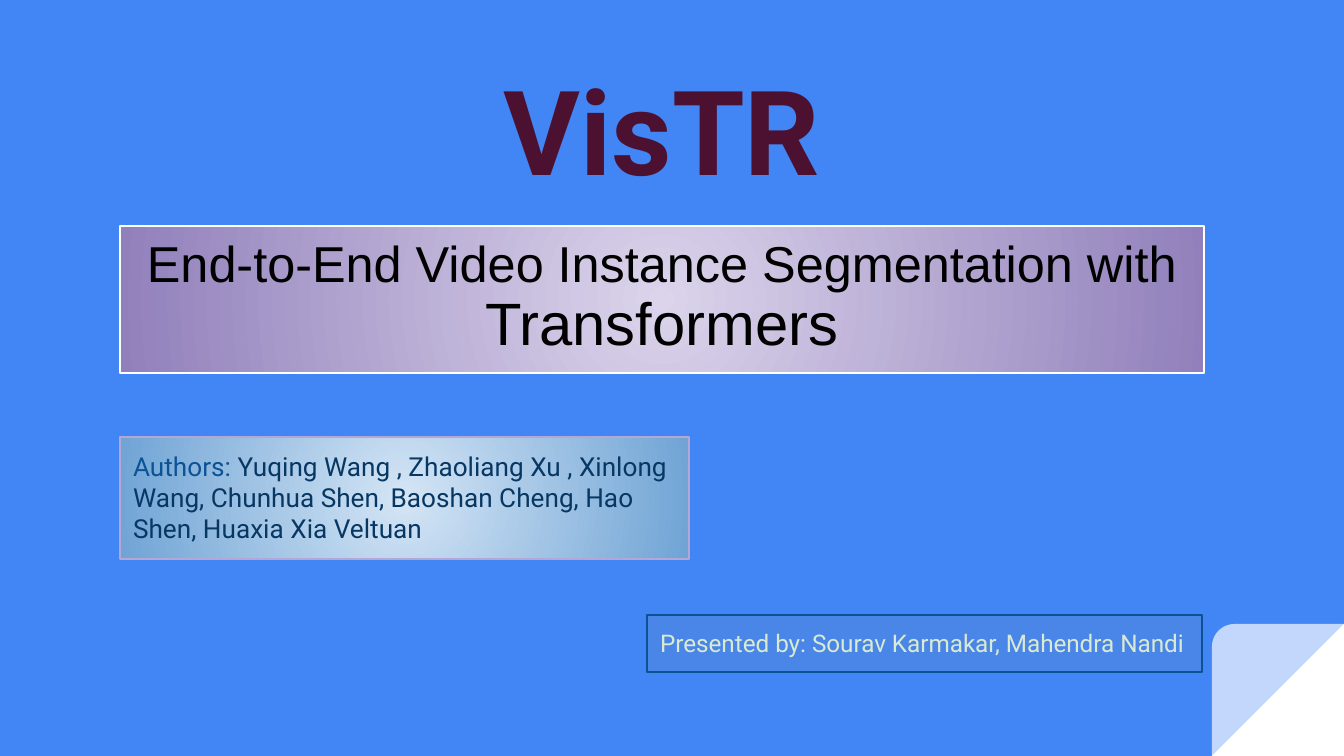
import lxml.etree
import pptx
import pptx.dml.color
import pptx.enum.shapes
import pptx.enum.text
import pptx.oxml.ns
import pptx.util

SCALE = 914400 / 134.4
qn = pptx.oxml.ns.qn
MSO_SHAPE = pptx.enum.shapes.MSO_SHAPE
PP_ALIGN = pptx.enum.text.PP_ALIGN
MSO_ANCHOR = pptx.enum.text.MSO_ANCHOR


def px(*lengths):
    return [pptx.util.Emu(round(length * SCALE)) for length in lengths]


def rgb(value):
    return pptx.dml.color.RGBColor.from_string(value)


presentation = pptx.Presentation()
presentation.slide_width, presentation.slide_height = px(1344, 756)
slide = presentation.slides.add_slide(presentation.slide_layouts[5])
slide.background.fill.solid()
slide.background.fill.fore_color.rgb = rgb("4285F4")

for preset in (MSO_SHAPE.RIGHT_TRIANGLE, MSO_SHAPE.ROUND_1_RECTANGLE):
    corner = slide.shapes.add_shape(preset, *px(1212, 624, 132, 132))
    corner.shadow.inherit = False
    corner.fill.solid()
    corner.fill.fore_color.rgb = rgb("FFFFFF")
    corner.line.fill.background()
    corner._element.spPr.find(qn("a:xfrm")).set("flipH", "1")
corner.adjustments[0] = 0.17
corner_color = corner._element.spPr.find(qn("a:solidFill")).find(qn("a:srgbClr"))
lxml.etree.SubElement(corner_color, qn("a:alpha")).set("val", "68000")

title = slide.shapes.title
title.left, title.top, title.width, title.height = px(58, 66, 1208, 146)

panels = [
    ((120, 226, 1084, 147), ("DBD4EB", "9180BB"), "FFFFFF", PP_ALIGN.CENTER, 0.9, "Arial", [
        ("End-to-End Video Instance Segmentation with ", 27, "000000"),
        ("Transformers", 32, "000000"),
    ]),
    ((120, 437, 569, 122), ("D4E5F5", "70A4D5"), "B4A7D6", PP_ALIGN.LEFT, 1.0, "Roboto", [
        ("Authors: ", 14, "0B5394"),
        ("Yuqing Wang , Zhaoliang Xu , Xinlong Wang, Chunhua Shen, Baoshan Cheng, "
         "Hao Shen, Huaxia Xia Veltuan", 14, "073763"),
    ]),
    ((647, 615, 555, 57), ("4A86E8",), "0B5394", PP_ALIGN.LEFT, 1.0, "Roboto", [
        ("Presented by: Sourav Karmakar, Mahendra Nandi", 13, "D9EAD3"),
    ]),
]

text_blocks = [
    (title, MSO_ANCHOR.BOTTOM, PP_ALIGN.CENTER, 1.0, "Roboto", True, [("VisTR", 63, "4C1130")]),
]
for box, fill_colors, line_color, alignment, spacing, font_name, runs in panels:
    panel = slide.shapes.add_shape(MSO_SHAPE.RECTANGLE, *px(*box))
    panel.shadow.inherit = False
    panel.line.color.rgb = rgb(line_color)
    panel.line.width = pptx.util.Pt(0.75)
    if len(fill_colors) == 1:
        panel.fill.solid()
        panel.fill.fore_color.rgb = rgb(fill_colors[0])
    else:
        panel.fill.gradient()
        for stop, color in zip(panel.fill.gradient_stops, fill_colors):
            stop.color.rgb = rgb(color)
        gradient = panel._element.spPr.find(qn("a:gradFill"))
        gradient.remove(gradient.find(qn("a:lin")))
        radial = lxml.etree.SubElement(gradient, qn("a:path"))
        radial.set("path", "circle")
        center = lxml.etree.SubElement(radial, qn("a:fillToRect"))
        for side in "ltrb":
            center.set(side, "50000")
    text_blocks.append((panel, MSO_ANCHOR.TOP, alignment, spacing, font_name, False, runs))

for shape, anchor, alignment, spacing, font_name, bold, runs in text_blocks:
    frame = shape.text_frame
    frame.word_wrap = True
    frame.auto_size = pptx.enum.text.MSO_AUTO_SIZE.NONE
    frame.vertical_anchor = anchor
    frame.margin_left, frame.margin_top, frame.margin_right, frame.margin_bottom = px(13, 13, 13, 13)
    paragraph = frame.paragraphs[0]
    paragraph.alignment = alignment
    paragraph.line_spacing = spacing
    for text, size, color in runs:
        run = paragraph.add_run()
        run.text = text
        run.font.name = font_name
        run.font.size = pptx.util.Pt(size)
        run.font.bold = bold
        run.font.color.rgb = rgb(color)

presentation.save("out.pptx")
